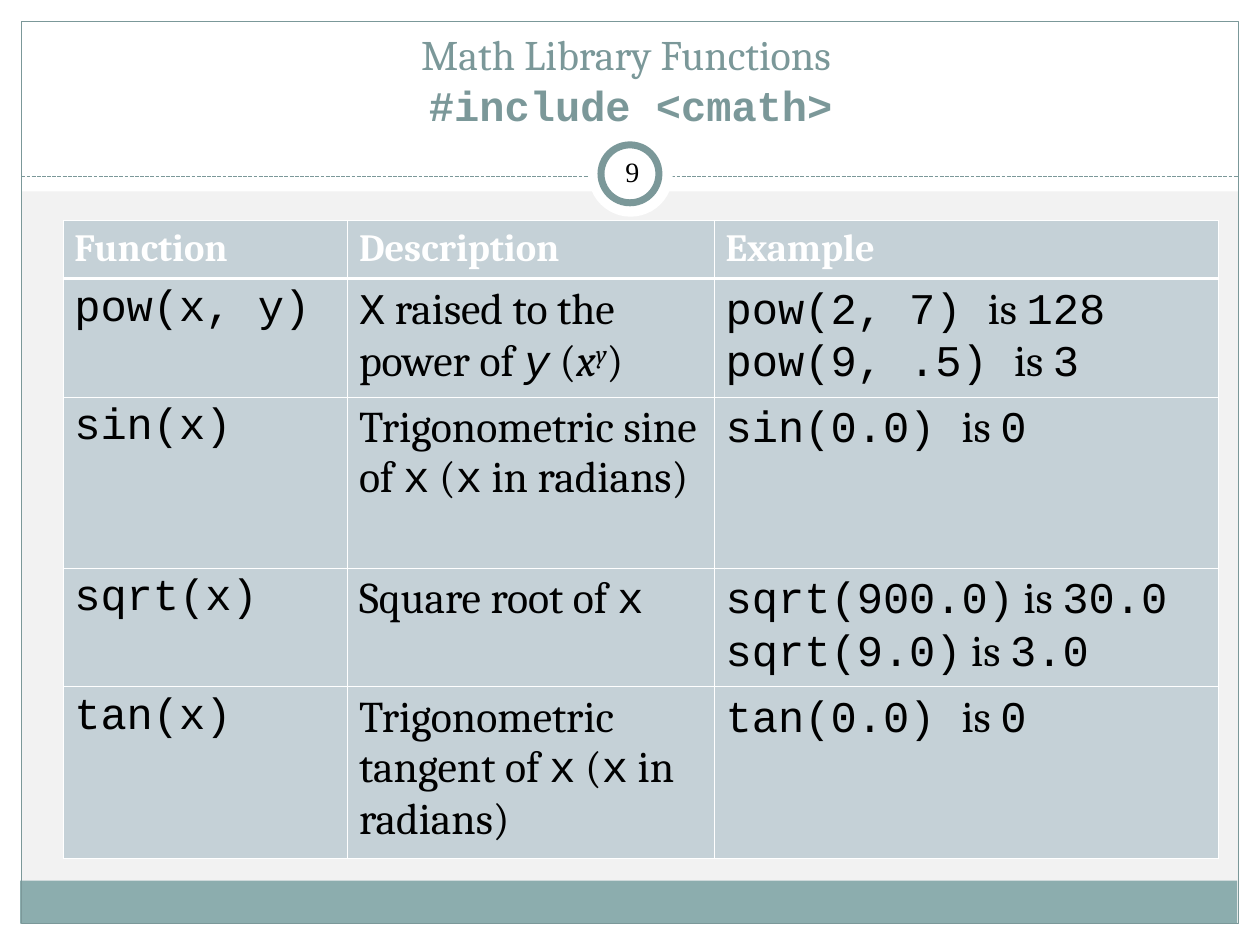
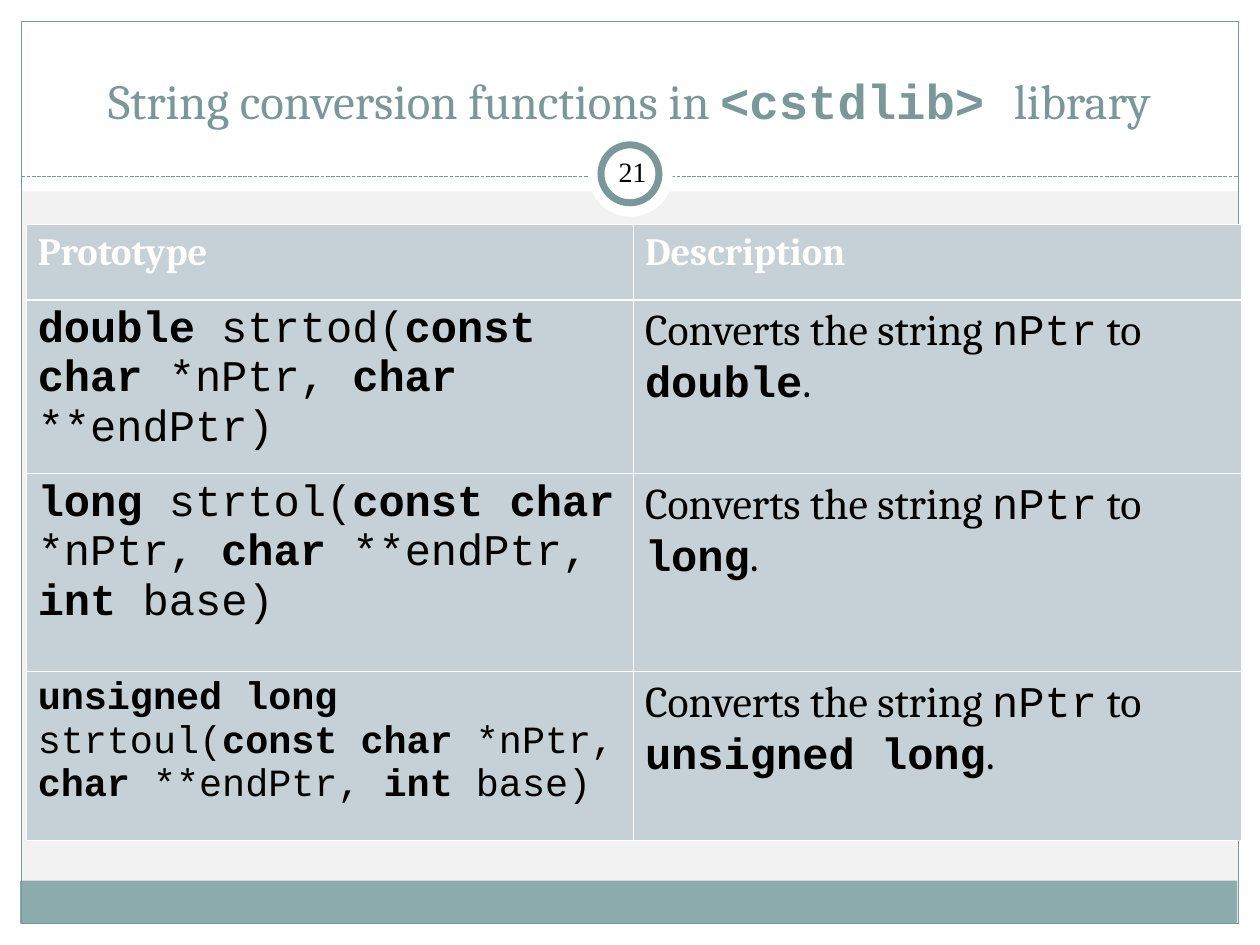
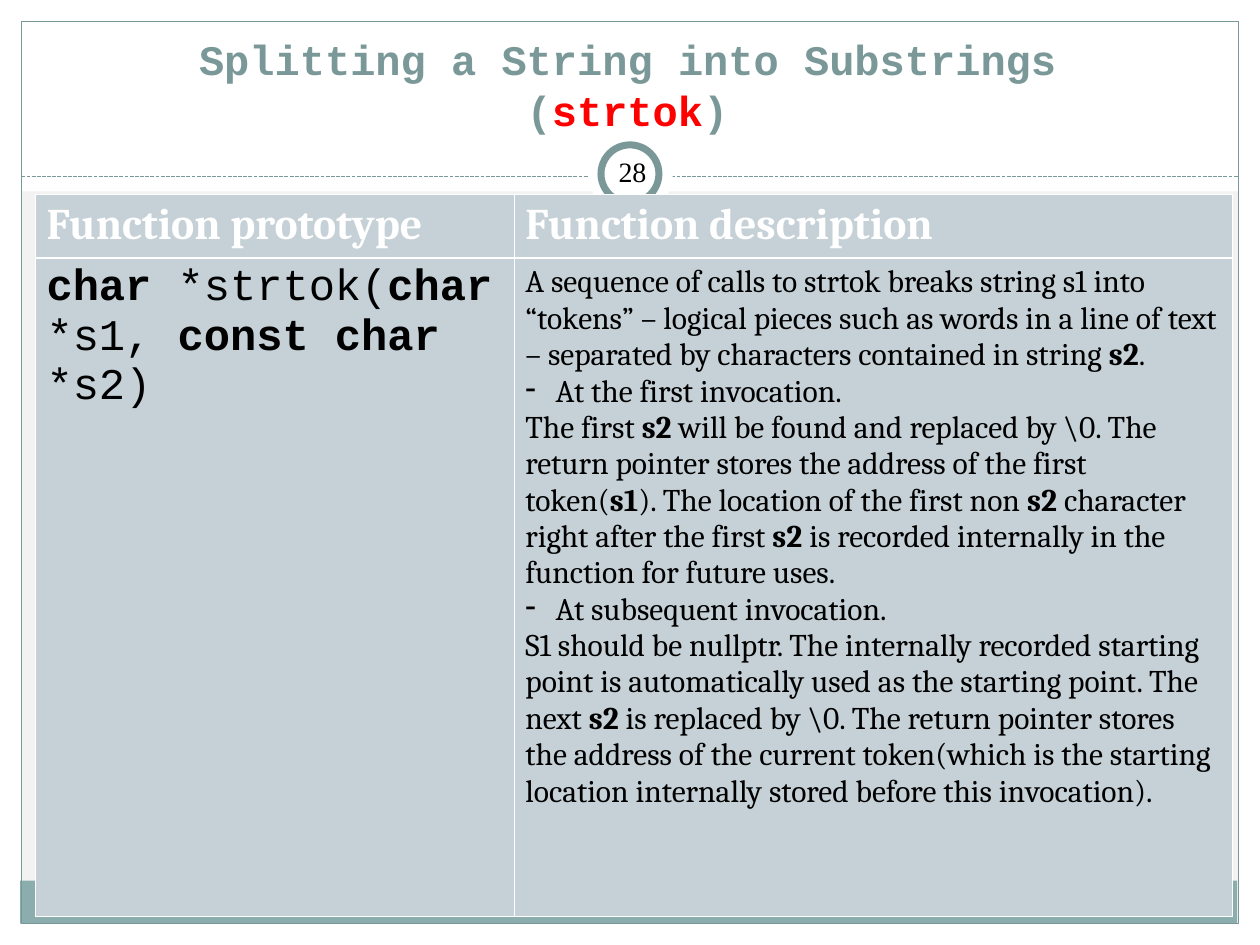
from dataclasses import dataclass
from typing import NamedTuple, Optional

from lxml.etree import SubElement
from pptx import Presentation
from pptx.dml.color import RGBColor as RGB
from pptx.enum.dml import MSO_LINE
from pptx.enum.shapes import MSO_CONNECTOR, MSO_SHAPE, PP_PLACEHOLDER as PH
from pptx.enum.text import MSO_ANCHOR, MSO_AUTO_SIZE, PP_ALIGN
from pptx.oxml.ns import qn
from pptx.util import Emu, Pt

EMU_PER_PX = 9144  # 100 px to the inch


def px(length: int) -> Emu:
    return Emu(length * EMU_PER_PX)


@dataclass(frozen=True)
class Theme:
    paper: str = "F2F2F2"
    white: str = "FFFFFF"
    black: str = "000000"
    accent: str = "7B9899"
    band: str = "8CADAE"
    cell: str = "C5D1D7"
    alert: str = "FF0000"
    serif: str = "Cambria"
    mono: str = "Courier New"
    number_font: str = "Times New Roman"
    title: int = 24
    title_large: int = 28
    header: int = 22
    body: int = 25
    body_compact: int = 22
    prose: int = 18
    number: int = 16
    rule: float = 0.75
    ring: float = 4
    grid: float = 0.45
    header_rule: float = 1.47


T = Theme()


class Box(NamedTuple):
    left: int
    top: int
    width: int
    height: int

    def emu(self) -> list[Emu]:
        return [px(v) for v in self]


class Panel(NamedTuple):
    shape: MSO_SHAPE
    box: Box
    fill: Optional[str] = None
    line: Optional[str] = None
    weight: float = 0


class Span(NamedTuple):
    text: str
    font: str = T.serif
    bold: bool = False
    italic: bool = False
    raised: bool = False
    color: Optional[str] = None


class Para(NamedTuple):
    spans: list[Span]
    bullet: bool = False


class Cell(NamedTuple):
    paras: list[Para]
    size: int = T.body
    color: str = T.black


class Grid(NamedTuple):
    left: int
    top: int
    columns: list[int]
    row_heights: list[int]
    rows: list[list[Cell]]


class Page(NamedTuple):
    number: int
    title_box: Box
    title_size: int
    title_lines: list[list[Span]]
    grid: Grid


def bold(text: str) -> Span:
    return Span(text, bold=True)


def code(text: str) -> Span:
    return Span(text, T.mono)


def key(text: str, color: Optional[str] = None) -> Span:
    return Span(text, T.mono, bold=True, color=color)


def cell(*spans: Span, size: int = T.body) -> Cell:
    return Cell([Para(list(spans))], size)


def header(*labels: str, size: int = T.header) -> list[Cell]:
    return [Cell([Para([bold(label)])], size, T.white) for label in labels]


def examples(*pairs: tuple[str, str, str]) -> Cell:
    """One line per (call, joining word, result)."""
    return Cell([Para([code(call), Span(word), code(result)]) for call, word, result in pairs])


def trig(name: str) -> Cell:
    return cell(Span(f"Trigonometric {name} of "), code("x"), Span(" ("), code("x"),
                Span(" in radians)"))


def converts_to(kind: str) -> Cell:
    return cell(Span("Converts the string "), code("nPtr"), Span(" to "), key(kind), Span("."))


PANELS = [
    Panel(MSO_SHAPE.RECTANGLE, Box(0, 733, 1000, 17), T.white),
    Panel(MSO_SHAPE.RECTANGLE, Box(0, 0, 1000, 152), T.white),
    Panel(MSO_SHAPE.RECTANGLE, Box(0, 0, 17, 750), T.white),
    Panel(MSO_SHAPE.RECTANGLE, Box(983, 0, 17, 750), T.white),
    Panel(MSO_SHAPE.RECTANGLE, Box(16, 699, 966, 34), T.band),
    Panel(MSO_SHAPE.RECTANGLE, Box(17, 17, 966, 716), None, T.accent, T.rule),
]
BADGE = [
    Panel(MSO_SHAPE.OVAL, Box(467, 105, 67, 67), T.white),
    Panel(MSO_SHAPE.OVAL, Box(477, 115, 46, 46), T.white, T.accent, T.ring),
]
DIVIDER_Y = 140
NUMBER_BOX = Box(477, 112, 50, 48)

PAGES = [
    Page(
        9, Box(17, 25, 967, 83), T.title,
        [[Span("Math Library Functions ")], [key("#include <cmath>")]],
        Grid(50, 175, [226, 291, 400], [46, 94, 136, 94, 136], [
            header("Function", "Description", "Example"),
            [cell(code("pow(x, y)")),
             cell(code("X"), Span(" raised to the power of "), Span("y", T.mono, italic=True),
                  Span(" ("), Span("x", italic=True), Span("y", italic=True, raised=True),
                  Span(")")),
             examples(("pow(2, 7) ", "is ", "128"), ("pow(9, .5) ", "is ", "3"))],
            [cell(code("sin(x)")), trig("sine"), examples(("sin(0.0) ", "is ", "0"))],
            [cell(code("sqrt(x)")), cell(Span("Square root of "), code("x")),
             examples(("sqrt(900.0)", " is ", "30.0"), ("sqrt(9.0)", " is ", "3.0"))],
            [cell(code("tan(x)")), trig("tangent"), examples(("tan(0.0) ", "is ", "0"))],
        ]),
    ),
    Page(
        21, Box(33, 25, 933, 83), T.title_large,
        [[Span("String conversion functions in "), key("<cstdlib> "), Span("library")]],
        Grid(21, 178, [482, 482], [60, 138, 157, 134], [
            header("Prototype", "Description"),
            [cell(key("double"), code(" strtod("), key("const char "), code("*nPtr, "),
                  key("char"), code(" **endPtr)")),
             converts_to("double")],
            [cell(key("long"), code(" strtol("), key("const char "), code("*nPtr, "),
                  key("char"), code(" **endPtr, "), key("int"), code(" base)")),
             converts_to("long")],
            [cell(key("unsigned long "), code("strtoul("), key("const char "), code("*nPtr, "),
                  key("char"), code(" **endPtr, "), key("int"), code(" base)"),
                  size=T.body_compact),
             converts_to("unsigned long")],
        ]),
    ),
    Page(
        28, Box(17, 39, 962, 73), T.title,
        [[key("Splitting a String into Substrings")],
         [key("("), key("strtok", T.alert), key(")")]],
        Grid(28, 154, [380, 570], [51, 522], [
            header("Function prototype", "Function description", size=T.body),
            [cell(key("char"), code(" *strtok("), key("char"), code(" *s1, "),
                  key("const char"), code(" *s2)")),
             Cell([
                 Para([Span("A sequence of calls to strtok breaks string s1 into “tokens” – "
                            "logical pieces such as words in a line of text – separated by "
                            "characters contained in string "), bold("s2"), Span(".")]),
                 Para([Span("At the first invocation.")], bullet=True),
                 Para([Span("The first "), bold("s2"),
                       Span(" will be found and replaced by \\0. The return pointer stores "
                            "the address of the first token("), bold("s1"),
                       Span("). The location of the first non "), bold("s2"),
                       Span(" character right after the first "), bold("s2"),
                       Span(" is recorded internally in the function for future uses.")]),
                 Para([Span("At subsequent invocation.")], bullet=True),
                 Para([Span("S1 should be nullptr. The internally recorded starting point is "
                            "automatically used as the starting point. The next "), bold("s2"),
                       Span(" is replaced by \\0. The return pointer stores the address of "
                            "the current token(which is the starting location internally "
                            "stored before this invocation).")]),
             ], T.prose)],
        ]),
    ),
]


def add_spans(p, spans: list[Span], size: int, color: str) -> None:
    for span in spans:
        r = p.add_run()
        r.text = span.text
        r.font.name, r.font.size = span.font, Pt(size)
        r.font.bold, r.font.italic = span.bold, span.italic
        r.font.color.rgb = RGB.from_string(span.color or color)
        if span.raised:
            r._r.get_or_add_rPr().set("baseline", "30000")


def add_dash_bullet(p) -> None:
    pPr = p._p.get_or_add_pPr()
    pPr.set("marL", str(px(24)))
    pPr.set("indent", str(-px(24)))
    SubElement(SubElement(pPr, qn("a:buClr")), qn("a:srgbClr"), val=T.black)
    SubElement(pPr, qn("a:buChar"), char="-")


def add_panel(s, panel: Panel):
    sp = s.shapes.add_shape(panel.shape, *panel.box.emu())
    sp.shadow.inherit = False
    if panel.fill:
        sp.fill.solid()
        sp.fill.fore_color.rgb = RGB.from_string(panel.fill)
    else:
        sp.fill.background()
    if panel.line:
        sp.line.color.rgb = RGB.from_string(panel.line)
        sp.line.width = Pt(panel.weight)
    else:
        sp.line.fill.background()
    return sp


def add_divider(s):
    line = s.shapes.add_connector(MSO_CONNECTOR.STRAIGHT, px(17), px(DIVIDER_Y),
                                  px(983), px(DIVIDER_Y))
    line.line.color.rgb = RGB.from_string(T.accent)
    line.line.width = Pt(T.rule)
    line.line.dash_style = MSO_LINE.SQUARE_DOT
    SubElement(line.element.spPr, qn("a:effectLst"))
    return line


def furnish_layout(layout, s) -> None:
    """Draw the shared frame on slide s, then move it to the layout."""
    layout.background.fill.solid()
    layout.background.fill.fore_color.rgb = RGB.from_string(T.paper)
    for ph in list(layout.placeholders):
        if ph.placeholder_format.type != PH.TITLE:
            ph.element.getparent().remove(ph.element)
    frame = [add_panel(s, panel) for panel in PANELS]
    frame.append(add_divider(s))
    frame += [add_panel(s, panel) for panel in BADGE]
    for sp in frame:
        layout.shapes.element.append(sp.element)


def set_title(s, page: Page) -> None:
    title = s.shapes.title
    title.left, title.top, title.width, title.height = page.title_box.emu()
    tf = title.text_frame
    tf.auto_size, tf.vertical_anchor = MSO_AUTO_SIZE.NONE, MSO_ANCHOR.BOTTOM
    p = tf.paragraphs[0]
    p.alignment = PP_ALIGN.CENTER
    for i, spans in enumerate(page.title_lines):
        if i:
            p.add_line_break()
            SubElement(p._p[-1], qn("a:rPr"), sz=str(page.title_size * 100))
        add_spans(p, spans, page.title_size, T.accent)


def set_borders(tc, top: float, bottom: float) -> None:
    tcPr = tc._tc.get_or_add_tcPr()
    for side, weight in (("L", T.grid), ("R", T.grid), ("T", top), ("B", bottom)):
        ln = SubElement(tcPr, qn(f"a:ln{side}"), w=str(Pt(weight)))
        SubElement(SubElement(ln, qn("a:solidFill")), qn("a:srgbClr"), val=T.white)


def fill_cell(tc, content: Cell) -> None:
    tc.fill.solid()
    tc.fill.fore_color.rgb = RGB.from_string(T.cell)
    tc.margin_left = tc.margin_right = px(9)
    tc.margin_top = tc.margin_bottom = px(5)
    tf = tc.text_frame
    for i, para in enumerate(content.paras):
        p = tf.add_paragraph() if i else tf.paragraphs[0]
        if para.bullet:
            add_dash_bullet(p)
        add_spans(p, para.spans, content.size, content.color)


def add_grid(s, grid: Grid) -> None:
    box = Box(grid.left, grid.top, sum(grid.columns), sum(grid.row_heights))
    table = s.shapes.add_table(len(grid.rows), len(grid.columns), *box.emu()).table
    table.first_row = table.horz_banding = False
    for column, width in zip(table.columns, grid.columns):
        column.width = px(width)
    for i, (row, height) in enumerate(zip(table.rows, grid.row_heights)):
        row.height = px(height)
        for tc, content in zip(row.cells, grid.rows[i]):
            set_borders(tc, T.header_rule if i == 1 else T.grid,
                        T.header_rule if i == 0 else T.grid)
            fill_cell(tc, content)


def add_number(s, number: int) -> None:
    tf = s.shapes.add_textbox(*NUMBER_BOX.emu()).text_frame
    tf.word_wrap, tf.vertical_anchor = True, MSO_ANCHOR.MIDDLE
    tf.margin_left = tf.margin_right = tf.margin_top = tf.margin_bottom = px(5)
    p = tf.paragraphs[0]
    p.alignment = PP_ALIGN.CENTER
    add_spans(p, [Span(str(number), T.number_font)], T.number, T.black)


def main() -> None:
    prs = Presentation()
    prs.slide_width, prs.slide_height = px(1000), px(750)
    layout = prs.slide_layouts[5]
    for i, page in enumerate(PAGES):
        s = prs.slides.add_slide(layout)
        if i == 0:
            furnish_layout(layout, s)
        set_title(s, page)
        add_grid(s, page.grid)
        add_number(s, page.number)
    prs.save("out.pptx")


if __name__ == "__main__":
    main()
